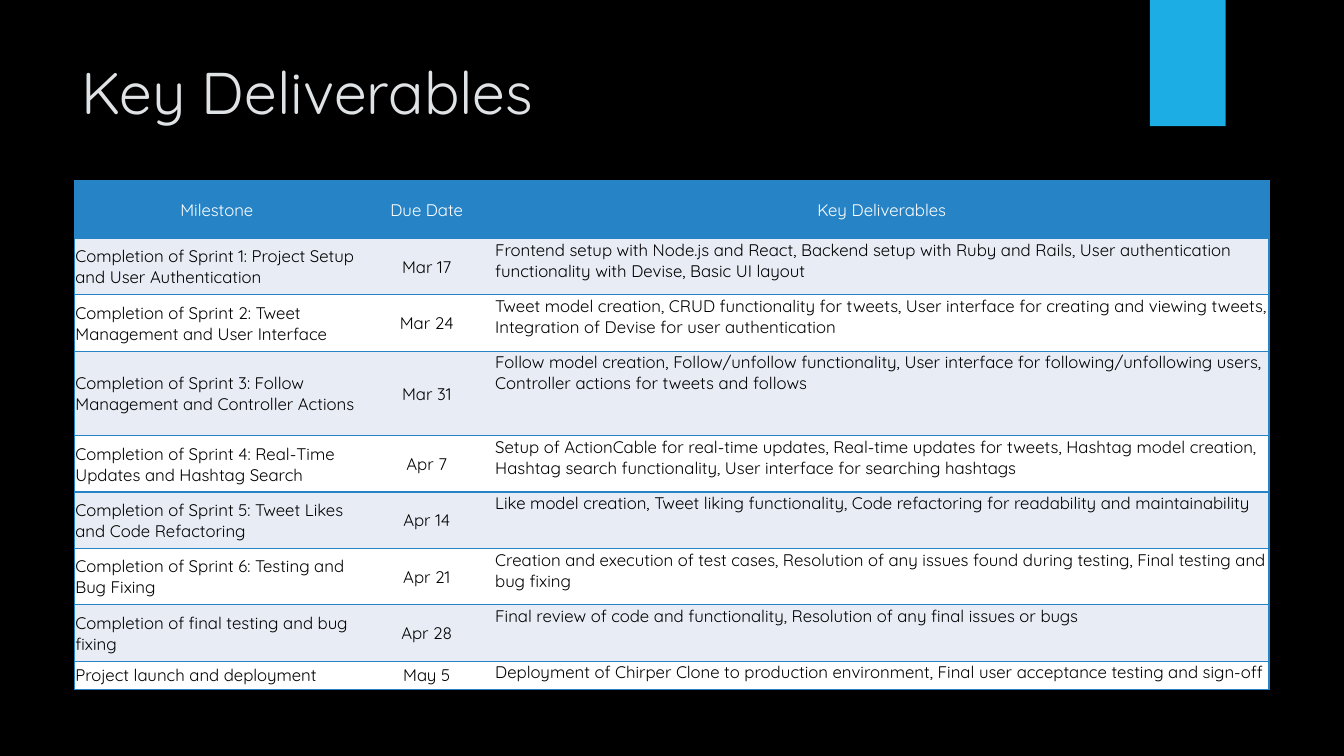
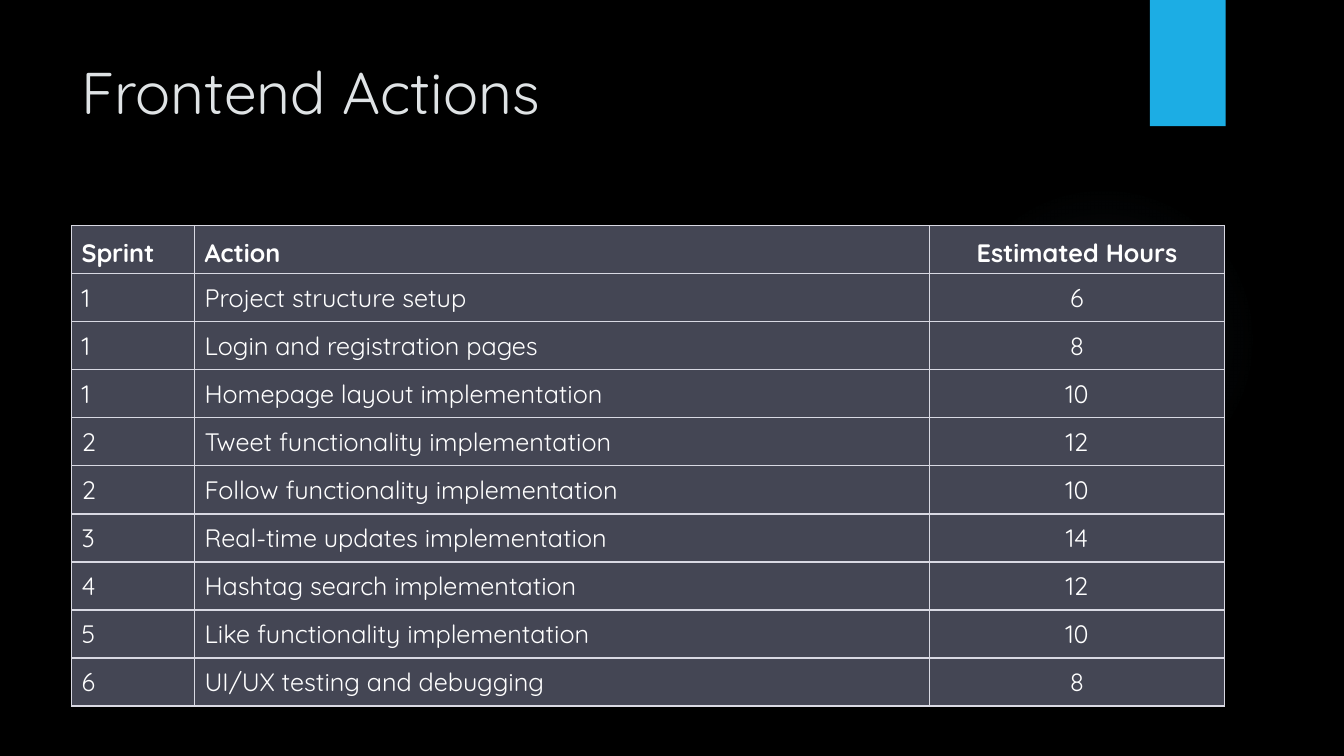
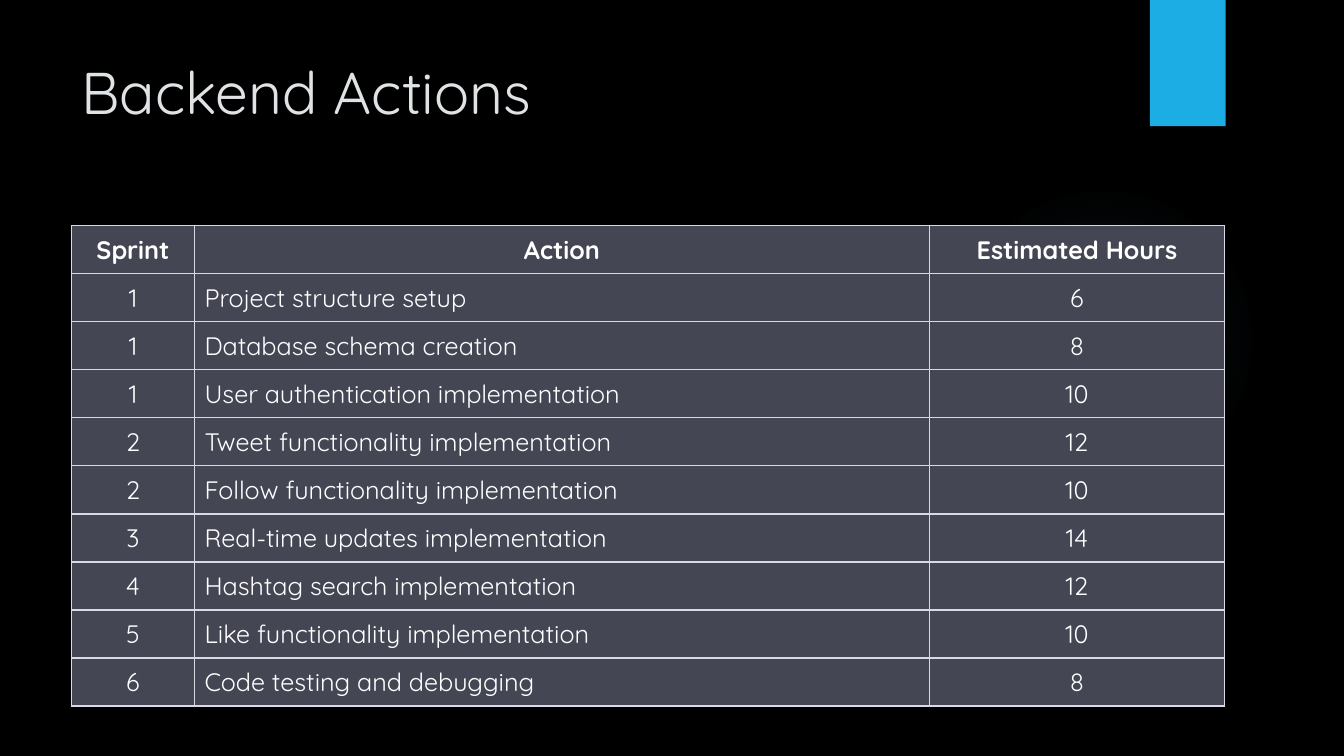
"""Build three sprint planning slides: deliverables, frontend and backend actions."""
from pptx import Presentation
from pptx import util as u
from pptx.dml.color import RGBColor
from pptx.enum import shapes, text
from pptx.oxml import parse_xml
from pptx.oxml.ns import nsdecls

BLACK = RGBColor(0x00, 0x00, 0x00)
WHITE = RGBColor(0xFF, 0xFF, 0xFF)
TITLE_GREY = RGBColor(0xDF, 0xE3, 0xE5)
BAND_BLUE = RGBColor(0x1C, 0xAD, 0xE4)
GLOW_BLUE = RGBColor(0x70, 0xA1, 0xC0)
HEADER_BLUE = RGBColor(0x26, 0x83, 0xC6)
STRIPE = RGBColor(0xE8, 0xED, 0xF5)
SLATE = RGBColor(0x44, 0x46, 0x54)
GRID_GREY = RGBColor(0xD9, 0xD9, 0xE3)

FONT = "Quicksand"
LEFT, CENTER = text.PP_ALIGN.LEFT, text.PP_ALIGN.CENTER
TOP, MIDDLE, BOTTOM = (text.MSO_ANCHOR.TOP, text.MSO_ANCHOR.MIDDLE,
                       text.MSO_ANCHOR.BOTTOM)

DELIVERABLES = [
    ("Milestone", "Due Date", "Key Deliverables"),
    ("Completion of Sprint 1: Project Setup and User Authentication", "Mar 17",
     "Frontend setup with Node.js and React, Backend setup with Ruby and Rails, "
     "User authentication functionality with Devise, Basic UI layout"),
    ("Completion of Sprint 2: Tweet Management and User Interface", "Mar 24",
     "Tweet model creation, CRUD functionality for tweets, User interface for "
     "creating and viewing tweets, Integration of Devise for user authentication"),
    ("Completion of Sprint 3: Follow Management and Controller Actions", "Mar 31",
     "Follow model creation, Follow/unfollow functionality, User interface for "
     "following/unfollowing users, Controller actions for tweets and follows"),
    ("Completion of Sprint 4: Real-Time Updates and Hashtag Search", "Apr 7",
     "Setup of ActionCable for real-time updates, Real-time updates for tweets, "
     "Hashtag model creation, Hashtag search functionality, "
     "User interface for searching hashtags"),
    ("Completion of Sprint 5: Tweet Likes and Code Refactoring", "Apr 14",
     "Like model creation, Tweet liking functionality, "
     "Code refactoring for readability and maintainability"),
    ("Completion of Sprint 6: Testing and Bug Fixing", "Apr 21",
     "Creation and execution of test cases, Resolution of any issues found "
     "during testing, Final testing and bug fixing"),
    ("Completion of final testing and bug fixing", "Apr 28",
     "Final review of code and functionality, Resolution of any final issues or bugs"),
    ("Project launch and deployment", "May 5",
     "Deployment of Chirper Clone to production environment, "
     "Final user acceptance testing and sign-off"),
]

ACTION_HEADER = ("Sprint", "Action", "Estimated Hours")
SPRINTS = ("1", "1", "1", "2", "2", "3", "4", "5", "6")
HOURS = ("6", "8", "10", "12", "10", "14", "12", "10", "8")
SHARED_ACTIONS = [
    "Tweet functionality implementation",
    "Follow functionality implementation",
    "Real-time updates implementation",
    "Hashtag search implementation",
    "Like functionality implementation",
]
FRONTEND = ["Project structure setup", "Login and registration pages",
            "Homepage layout implementation", *SHARED_ACTIONS,
            "UI/UX testing and debugging"]
BACKEND = ["Project structure setup", "Database schema creation",
           "User authentication implementation", *SHARED_ACTIONS,
           "Code testing and debugging"]

DELIVERABLES_STYLE = {
    "place": (1.88, 4.55),
    "widths": (7.17, 3.41, 19.52),
    "heights": (1.46, 1.42, 1.42, 2.13, 1.42, 1.42, 1.42, 1.42, 0.71),
    "size": 12,
    "header_bold": False,
    "header_fill": HEADER_BLUE,
    "body_fills": (STRIPE, WHITE),
    "body_color": BLACK,
    "header_aligns": (CENTER, CENTER, CENTER),
    "body_aligns": (LEFT, CENTER, LEFT),
    "header_anchor": MIDDLE,
    "body_anchors": (MIDDLE, MIDDLE, TOP),
    "margins": {"margin_left": u.Cm(0.02), "margin_right": u.Cm(0.02),
                "margin_top": u.Cm(0.02), "margin_bottom": 0},
    "line": HEADER_BLUE,
    "vertical_width": 1,
    "inner_verticals": False,
}
ACTIONS_STYLE = {
    "place": (1.8, 5.69),
    "widths": (3.1, 18.52, 7.44),
    "heights": (1.21,) * 10,
    "size": 18,
    "header_bold": True,
    "header_fill": SLATE,
    "body_fills": (SLATE,),
    "body_color": WHITE,
    "header_aligns": (CENTER, CENTER, CENTER),
    "body_aligns": (CENTER, LEFT, CENTER),
    "header_anchor": MIDDLE,
    "body_anchors": (MIDDLE, MIDDLE, MIDDLE),
    "margins": {},
    "line": GRID_GREY,
    "vertical_width": 0.75,
    "inner_verticals": True,
}
FRONTEND_STYLE = {
    **ACTIONS_STYLE,
    "header_aligns": (LEFT, LEFT, CENTER),
    "body_aligns": (LEFT, LEFT, CENTER),
    "header_anchor": BOTTOM,
}


def apply_format(target, values):
    """Set each named attribute of the target."""
    for name, value in values.items():
        setattr(target, name, value)


def format_text(paragraph, size, color, align, bold=False):
    """Give a paragraph its alignment and font."""
    paragraph.alignment = align
    apply_format(paragraph.font, {"name": FONT, "size": u.Pt(size), "bold": bold})
    paragraph.font.color.rgb = color


def add_layout_shape(slide, preset, place, color):
    """Draw a plain shape and move it behind the placeholders of the layout."""
    shape = slide.shapes.add_shape(preset, *map(u.Cm, place))
    shape.shadow.inherit = False
    shape.fill.solid()
    shape.fill.fore_color.rgb = color
    shape.line.fill.background()
    slide.slide_layout.shapes.element.insert(2, shape.element)
    return shape


def fade_to_edge(shape, color):
    """Replace the fill by a faint radial glow."""
    stops = "".join(
        f'<a:gs pos="{position * 1000}"><a:srgbClr val="{color}">'
        f'<a:alpha val="{opacity * 1000}"/></a:srgbClr></a:gs>'
        for position, opacity in ((0, 7), (36, 6), (69, 0)))
    glow = parse_xml(
        f'<a:gradFill {nsdecls("a")}><a:gsLst>{stops}</a:gsLst><a:path path="circle">'
        '<a:fillToRect l="50000" t="50000" r="50000" b="50000"/></a:path></a:gradFill>')
    solid = shape.element.spPr.find(".//{*}solidFill")
    solid.getparent().replace(solid, glow)


def decorate_layout(slide):
    """Place the top band and the glow on the layout of the slide."""
    add_layout_shape(slide, shapes.MSO_SHAPE.RECTANGLE,
                     (28.98, 0, 1.91, 3.18), BAND_BLUE)
    glow = add_layout_shape(slide, shapes.MSO_SHAPE.OVAL,
                            (23.9, 4.65, 7.82, 7.82), GLOW_BLUE)
    fade_to_edge(glow, GLOW_BLUE)


def prepare_layout(deck):
    """Set the background and the title position, and return the layout."""
    background = deck.slide_master.background.fill
    background.solid()
    background.fore_color.rgb = BLACK
    layout = deck.slide_layouts.get_by_name("Title Only")
    title = layout.placeholders[0]
    apply_format(title, {"left": u.Cm(1.8), "top": u.Cm(1.27),
                         "width": u.Cm(26.14), "height": u.Cm(3.89)})
    apply_format(title.text_frame, {"vertical_anchor": TOP, "word_wrap": True,
                                    "auto_size": text.MSO_AUTO_SIZE.NONE})
    return layout


def add_titled_slide(deck, layout, heading):
    """Add a slide with a formatted title."""
    slide = deck.slides.add_slide(layout)
    slide.shapes.title.text_frame.text = heading
    format_text(slide.shapes.title.text_frame.paragraphs[0], 42, TITLE_GREY, LEFT)
    return slide


def set_borders(cell, color, widths):
    """Draw the left, right, top and bottom borders; zero width means none."""
    properties = cell._tc.get_or_add_tcPr()
    for index, (side, width) in enumerate(zip("LRTB", widths)):
        paint = (f'<a:solidFill><a:srgbClr val="{color}"/></a:solidFill>'
                 if width else "<a:noFill/>")
        properties.insert(index, parse_xml(
            f'<a:ln{side} {nsdecls("a")} w="{u.Pt(width)}">{paint}</a:ln{side}>'))


def fill_cell(cell, content, row, column, style):
    """Write and format one table cell."""
    header = row == 0
    cell.text = content
    cell.vertical_anchor = (style["header_anchor"] if header
                            else style["body_anchors"][column])
    apply_format(cell, style["margins"])
    fills = style["body_fills"]
    cell.fill.solid()
    cell.fill.fore_color.rgb = (style["header_fill"] if header
                                else fills[(row - 1) % len(fills)])
    format_text(cell.text_frame.paragraphs[0], style["size"],
                WHITE if header else style["body_color"],
                style["header_aligns" if header else "body_aligns"][column],
                header and style["header_bold"])
    inner, width = style["inner_verticals"], style["vertical_width"]
    last = len(style["widths"]) - 1
    set_borders(cell, style["line"],
                (width if inner or column == 0 else 0,
                 width if inner or column == last else 0, 1, 1))


def add_plan_table(slide, rows, style):
    """Add a table of rows in the given style."""
    widths, heights = style["widths"], style["heights"]
    bounds = (*style["place"], sum(widths), sum(heights))
    table = slide.shapes.add_table(len(rows), len(widths), *map(u.Cm, bounds)).table
    for column, width in zip(table.columns, widths):
        column.width = u.Cm(width)
    for line, height in zip(table.rows, heights):
        line.height = u.Cm(height)
    for row, contents in enumerate(rows):
        for column, content in enumerate(contents):
            fill_cell(table.cell(row, column), content, row, column, style)


def action_rows(actions):
    """Join the actions with their sprints and hours."""
    return [ACTION_HEADER, *zip(SPRINTS, actions, HOURS)]


def main():
    """Build and save the deck."""
    deck = Presentation()
    apply_format(deck, {"slide_width": u.Cm(33.87), "slide_height": u.Cm(19.05)})
    layout = prepare_layout(deck)
    plans = [
        ("Key Deliverables", DELIVERABLES, DELIVERABLES_STYLE),
        ("Frontend Actions", action_rows(FRONTEND), FRONTEND_STYLE),
        ("Backend Actions", action_rows(BACKEND), ACTIONS_STYLE),
    ]
    for heading, rows, style in plans:
        add_plan_table(add_titled_slide(deck, layout, heading), rows, style)
    decorate_layout(deck.slides[0])
    deck.save("out.pptx")


if __name__ == "__main__":
    main()
